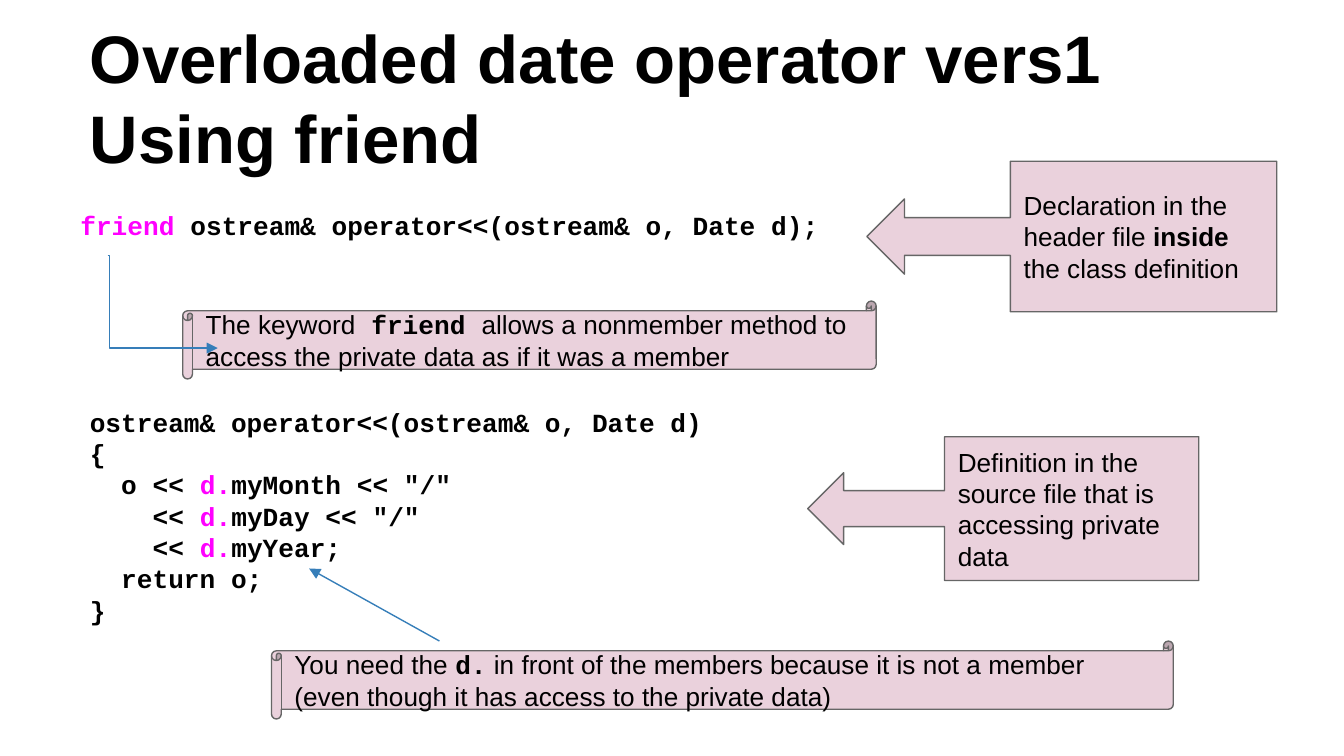
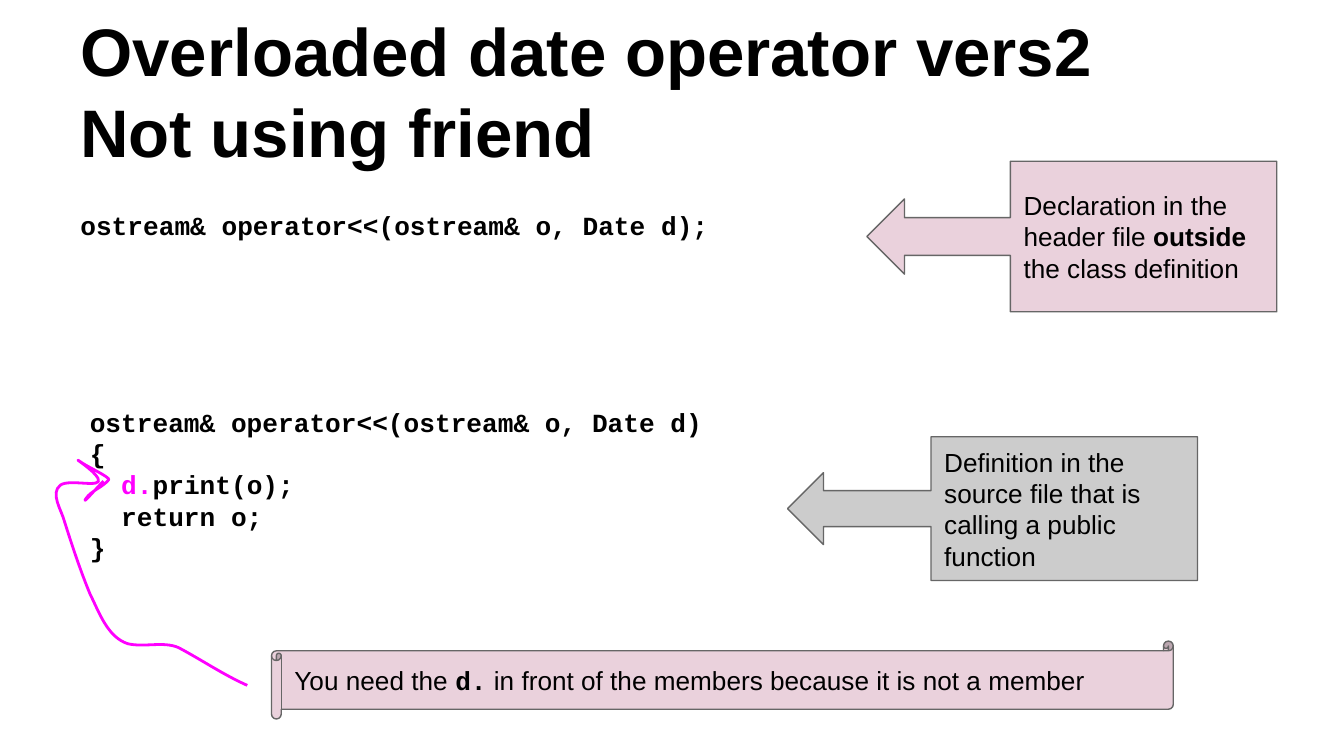
import pptx
import pptx.util
import pptx.dml.color
import pptx.enum.shapes
import pptx.enum.text
import pptx.oxml.ns
import lxml.etree

Inches = pptx.util.Inches
Pt = pptx.util.Pt
Shape = pptx.enum.shapes.MSO_SHAPE
Link = pptx.enum.shapes.MSO_CONNECTOR
Anchor = pptx.enum.text.MSO_ANCHOR
qn = pptx.oxml.ns.qn

HUES = {
    "ink": "000000",
    "key": "FF00FF",
    "rose": "EAD1DC",
    "gray": "CCCCCC",
    "edge": "666666",
    "blue": "367EB9",
}
RGB = {name: pptx.dml.color.RGBColor.from_string(code) for name, code in HUES.items()}
STYLES = {
    "plain": ("Arial", False, "ink"),
    "bold": ("Arial", True, "ink"),
    "code": ("Courier New", True, "ink"),
    "key": ("Courier New", True, "key"),
}


def write(shape, lines, size, anchor):
    frame = shape.text_frame
    frame.word_wrap = True
    frame.vertical_anchor = anchor
    frame.margin_left = frame.margin_right = Inches(0.1)
    frame.margin_top = frame.margin_bottom = Inches(0.1)
    for row, parts in enumerate(lines):
        para = frame.add_paragraph() if row else frame.paragraphs[0]
        para.alignment = pptx.enum.text.PP_ALIGN.LEFT
        para.line_spacing = Pt(size * 1.2)
        for text, style in parts:
            if "\v" in text:
                para.text = text
                runs = para.runs
            else:
                runs = [para.add_run()]
                runs[0].text = text
            face, bold, hue = STYLES[style]
            for run in runs:
                run.font.name = face
                run.font.size = Pt(size)
                run.font.bold = bold
                run.font.color.rgb = RGB[hue]


def arrow(slide, kind, start, end):
    line = slide.shapes.add_connector(kind, *[Inches(v) for v in start + end])
    line.line.color.rgb = RGB["blue"]
    line.line.width = Pt(0.75)
    props = line._element.spPr
    tail = lxml.etree.SubElement(props.find(qn("a:ln")), qn("a:tailEnd"))
    tail.set("type", "triangle")
    lxml.etree.SubElement(props, qn("a:effectLst"))
    return line


HEAD = "ostream& operator<<(ostream& o, Date d)"
NEED = [("You need the ", "plain"), ("d.", "code")]
WHY = " in front of the members because it is not a member "
TOP = (6.45, 1.2, 3.05, 1.12)
NOTE = (2.02, 4.77, 6.71, 0.58)

PAGES = [
    {
        "title": "Overloaded date operator vers1\vUsing friend",
        "place": (0.57, 0.48, 9, 0.94),
        "decl": [("friend", "key"), (" " + HEAD + ";", "code")],
        "body": [
            [(HEAD, "code")],
            [("{", "code")],
            [("  o << ", "code"), ("d.", "key"), ('myMonth << "/" ', "code")],
            [("    << ", "code"), ("d.", "key"), ('myDay << "/"', "code")],
            [("    << ", "code"), ("d.", "key"), ("myYear;", "code")],
            [("  return o;", "code")],
            [("}", "code")],
        ],
        "calls": [
            (TOP, "rose", [("Declaration in the header file ", "plain"),
                           ("inside ", "bold"), ("the class definition", "plain")]),
            ((6.01, 3.25, 2.91, 1.07), "rose",
             [("Definition in the source file that is accessing private data", "plain")]),
        ],
        "notes": [
            ((1.36, 2.24, 5.16, 0.58),
             [("The keyword", "plain"), (" friend ", "code"),
              ("allows a nonmember method to access the private data as if it was a member",
               "plain")]),
            (NOTE, NEED + [(WHY + "(even though it has access to the private data) ", "plain")]),
        ],
    },
    {
        "title": "Overloaded date operator vers2 \vNot using friend",
        "place": (0.5, 0.23, 9, 1.14),
        "decl": [(HEAD + ";", "code")],
        "body": [
            [(HEAD, "code")],
            [("{", "code")],
            [("  ", "code"), ("d.", "key"), ("print(o);", "code")],
            [("  return o;", "code")],
            [("}", "code")],
        ],
        "calls": [
            (TOP, "rose", [("Declaration in the header file ", "plain"),
                           ("outside", "bold"), (" the class definition", "plain")]),
            ((5.86, 3.25, 3.05, 1.07), "gray",
             [("Definition in the source file that is calling a public function", "plain")]),
        ],
        "notes": [(NOTE, NEED + [(WHY, "plain")])],
    },
]

deck = pptx.Presentation()
deck.slide_width = Inches(10)
deck.slide_height = Inches(10) * 9 // 16

for page in PAGES:
    slide = deck.slides.add_slide(deck.slide_layouts[6])
    texts = [
        (page["place"], [[(page["title"], "bold")]], 36, Anchor.BOTTOM),
        ((0.5, 1.46, 5.87, 0.59), [page["decl"]], 14, Anchor.TOP),
        ((0.57, 2.92, 5.4, 1.75), page["body"], 14, Anchor.TOP),
    ]
    for place, lines, size, anchor in texts:
        box = slide.shapes.add_textbox(*[Inches(v) for v in place])
        write(box, lines, size, anchor)

    boxes = [(Shape.LEFT_ARROW_CALLOUT, (0.25, 0.25, 0.25, 0.65), *call)
             for call in page["calls"]]
    boxes += [(Shape.HORIZONTAL_SCROLL, (0.125,), place, "rose", parts)
              for place, parts in page["notes"]]
    for kind, bends, place, hue, parts in boxes:
        box = slide.shapes.add_shape(kind, *[Inches(v) for v in place])
        for spot, bend in enumerate(bends):
            box.adjustments[spot] = bend
        box.shadow.inherit = False
        box.fill.solid()
        box.fill.fore_color.rgb = RGB[hue]
        box.line.color.rgb = RGB["edge"]
        box.line.width = Pt(0.75)
        write(box, [parts], 14, Anchor.MIDDLE)

first, second = deck.slides

elbow = arrow(first, Link.ELBOW, (0.8, 1.9), (1.62, 2.59))
bends = elbow._element.spPr.find(qn("a:prstGeom")).get_or_add_avLst()
guide = lxml.etree.SubElement(bends, qn("a:gd"))
guide.set("name", "adj1")
guide.set("fmla", "val 2000")
arrow(first, Link.STRAIGHT, (3.27, 4.77), (2.3, 4.23))

START = (1.84, 5.1)
CURVE = [
    (1.66, 5.02), (1.5, 4.91), (1.33, 4.82),
    (1.22, 4.77), (1.07, 4.82), (0.95, 4.79),
    (0.8, 4.74), (0.74, 4.56), (0.67, 4.42),
    (0.6, 4.25), (0.54, 4.07), (0.48, 3.88),
    (0.46, 3.8), (0.37, 3.67), (0.45, 3.61),
    (0.52, 3.56), (0.77, 3.64), (0.73, 3.56),
    (0.7, 3.5), (0.54, 3.4), (0.59, 3.43),
    (0.64, 3.47), (0.82, 3.55), (0.81, 3.57),
    (0.76, 3.63), (0.68, 3.65), (0.64, 3.71),
    (0.6, 3.77), (0.73, 3.62), (0.77, 3.58),
]
pen = second.shapes.build_freeform(Inches(START[0]), Inches(START[1]))
pen.add_line_segments([(Inches(x), Inches(y)) for x, y in CURVE], close=False)
swoop = pen.convert_to_shape()
swoop.shadow.inherit = False
swoop.fill.background()
swoop.line.color.rgb = RGB["key"]
swoop.line.width = Pt(1.5)
steps = list(swoop._element.iter(qn("a:lnTo")))
for spot in range(0, len(steps), 3):
    bow = lxml.etree.Element(qn("a:cubicBezTo"))
    steps[spot].addprevious(bow)
    for step in steps[spot:spot + 3]:
        bow.append(step[0])
        step.getparent().remove(step)

deck.save("out.pptx")
